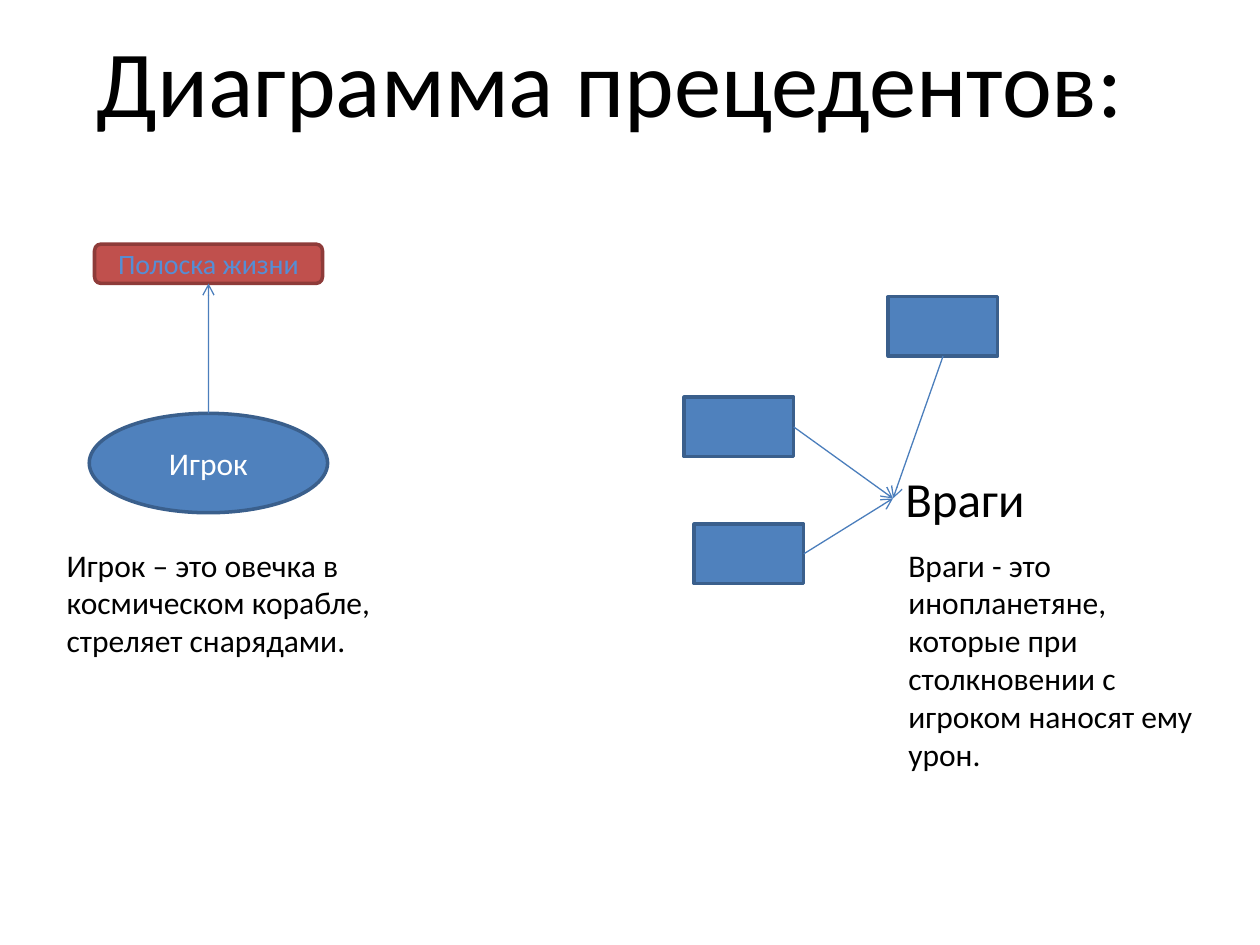
from lxml import etree
from pptx import Presentation
from pptx.dml.color import RGBColor
from pptx.enum.shapes import MSO_CONNECTOR, MSO_SHAPE
from pptx.enum.text import MSO_ANCHOR, MSO_AUTO_SIZE, PP_ALIGN
from pptx.oxml.ns import qn
from pptx.util import Pt

BLUE = RGBColor(0x4F, 0x81, 0xBD)
NAVY = RGBColor(0x3A, 0x5F, 0x8C)
RED = RGBColor(0xC0, 0x50, 0x4D)
WINE = RGBColor(0x8E, 0x3B, 0x39)
SKY = RGBColor(0x55, 0x8E, 0xD5)
ARROW = RGBColor(0x4B, 0x7E, 0xBC)
BLACK = RGBColor(0, 0, 0)
WHITE = RGBColor(255, 255, 255)

OVAL = MSO_SHAPE.OVAL
RECT = MSO_SHAPE.RECTANGLE
ROUND = MSO_SHAPE.ROUNDED_RECTANGLE
LINE = MSO_CONNECTOR.STRAIGHT
LEFT, CENTER = PP_ALIGN.LEFT, PP_ALIGN.CENTER
TOP, MIDDLE = MSO_ANCHOR.TOP, MSO_ANCHOR.MIDDLE
FIT, FIXED = MSO_AUTO_SIZE.SHAPE_TO_FIT_TEXT, MSO_AUTO_SIZE.NONE

# Connection sites
N, W, S, E = range(4)


class Board:
    """Holds the style and the current slide."""

    font = "Calibri"

    def __init__(self, slide):
        self.slide = slide
        self.shapes = slide.shapes

    def label(self, frame, text, size, color, align=LEFT):
        frame.text = text
        para = frame.paragraphs[0]
        para.alignment = align
        para.font.name = self.font
        para.font.size = Pt(size)
        para.font.color.rgb = color

    def title(self, text, box, size):
        shape = self.shapes.title
        shape.left, shape.top, shape.width, shape.height = map(Pt, box)
        frame = shape.text_frame
        frame.word_wrap = False
        frame.auto_size = FIXED
        frame.vertical_anchor = TOP
        self.label(frame, text, size, BLACK)

    def note(self, text, box, size=18, wrap=True):
        shape = self.shapes.add_textbox(*map(Pt, box))
        frame = shape.text_frame
        frame.word_wrap = wrap
        frame.auto_size = FIT
        self.label(frame, text, size, BLACK)
        return shape

    def node(self, kind, box, fill=BLUE, edge=NAVY, text="", size=18, color=WHITE):
        shape = self.shapes.add_shape(kind, *map(Pt, box))
        shape.shadow.inherit = False
        shape.fill.solid()
        shape.fill.fore_color.rgb = fill
        shape.line.color.rgb = edge
        shape.line.width = Pt(2)
        if text:
            shape.text_frame.vertical_anchor = MIDDLE
            self.label(shape.text_frame, text, size, color, CENTER)
        return shape

    def arrow(self, start, leave, end, enter):
        link = self.shapes.add_connector(LINE, 0, 0, 0, 0)
        link.begin_connect(start, leave)
        link.end_connect(end, enter)
        link.line.color.rgb = ARROW
        link.line.width = Pt(0.75)
        props = link.element.spPr
        etree.SubElement(props.find(qn("a:ln")), qn("a:tailEnd"), type="arrow")
        etree.SubElement(props, qn("a:effectLst"))


def main():
    deck = Presentation()
    deck.slide_width, deck.slide_height = Pt(720), Pt(540)
    board = Board(deck.slides.add_slide(deck.slide_layouts[5]))
    board.title("Диаграмма прецедентов:", (48, 9.5, 607, 72.7), 54)

    # Player and life bar
    player = board.node(OVAL, (51, 236.2, 136.2, 56.8), text="Игрок")
    life = board.node(ROUND, (54, 139.5, 130.3, 22.5), RED, WINE,
                      "Полоска жизни", 16, SKY)
    board.arrow(player, N, life, S)
    board.note("Игрок – это овечка в космическом корабле, стреляет снарядами.",
               (31, 308.2, 215.3, 72.7))

    # Enemies, all pointing at their name
    name = board.note("Враги", (510.3, 264.2, 83.5, 41.2), 28, wrap=False)
    for left, top, side in ((507.6, 169.5, S), (391, 227, E), (396.7, 299.5, E)):
        enemy = board.node(RECT, (left, top, 62.6, 34))
        board.arrow(enemy, side, name, W)
    board.note("Враги - это инопланетяне, которые при столкновении с игроком "
               "наносят ему урон.", (512, 308.2, 193.7, 138.2))

    deck.save("out.pptx")


if __name__ == "__main__":
    main()
